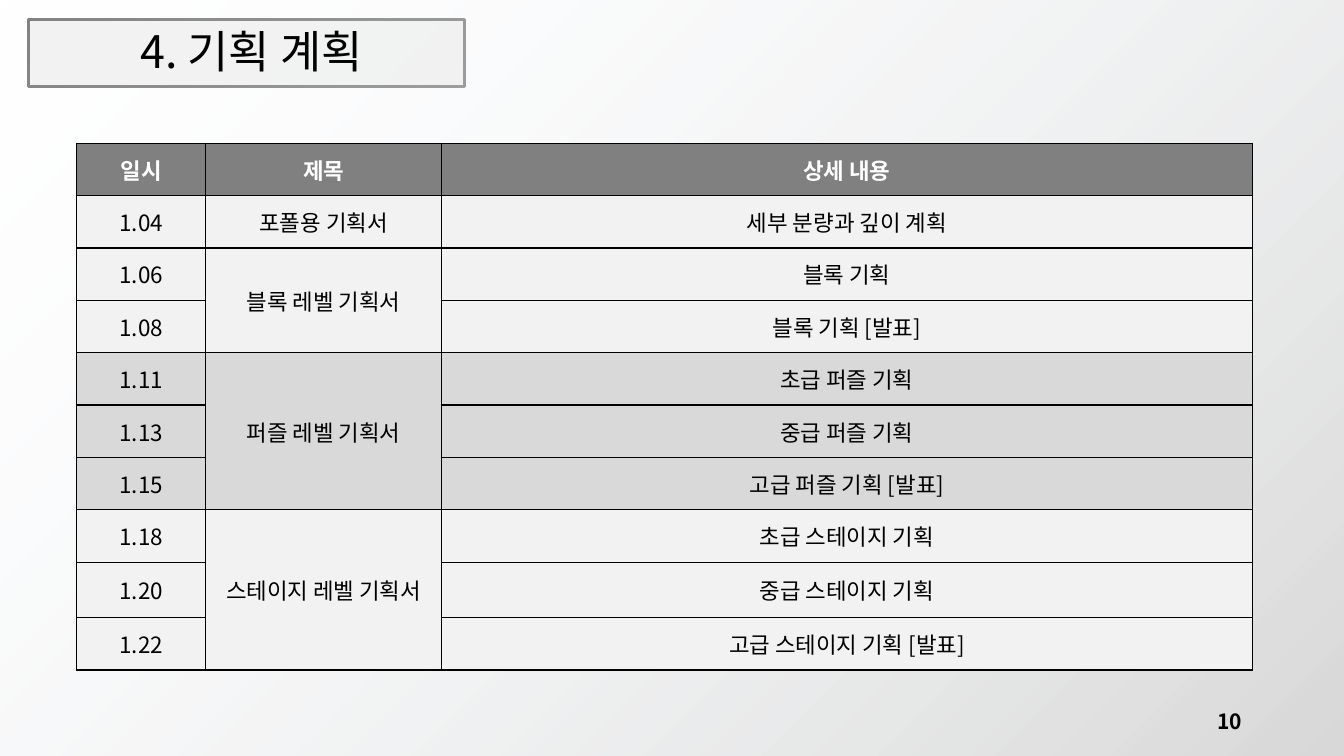
from pptx import Presentation
from pptx.dml.color import RGBColor
from pptx.enum import shapes, text
from pptx.oxml import ns, parse_xml
from pptx.util import Inches, Pt

FONT = "Noto Sans CJK KR"
BLACK, WHITE, GRAY, SILVER, PALE = "000000", "FFFFFF", "808080", "D9D9D9", "F2F2F2"
MIDDLE = text.MSO_ANCHOR.MIDDLE
CENTER, RIGHT = text.PP_ALIGN.CENTER, text.PP_ALIGN.RIGHT
rgb = RGBColor.from_string


def write(frame, words, size, color=BLACK, bold=False, align=CENTER):
    """Fill a text frame with one paragraph, using FONT for Latin and Korean."""
    frame.text = words
    paragraph = frame.paragraphs[0]
    paragraph.alignment = align
    font = paragraph.font
    font.name, font.size, font.bold = FONT, Pt(size), bold
    font.color.rgb = rgb(color)
    defaults = paragraph._p.pPr.find(ns.qn("a:defRPr"))
    defaults.append(parse_xml(f'<a:ea {ns.nsdecls("a")} typeface="{FONT}"/>'))


def set_borders(cell):
    for position, side in enumerate(("lnL", "lnR", "lnT", "lnB")):
        cell._tc.get_or_add_tcPr().insert(position, parse_xml(
            f'<a:{side} {ns.nsdecls("a")} w="12700"><a:solidFill>'
            f'<a:srgbClr val="{BLACK}"/></a:solidFill></a:{side}>'))


prs = Presentation()
prs.slide_width, prs.slide_height = Inches(13.33), Inches(7.5)
slide = prs.slides.add_slide(prs.slide_layouts[5])

# Backdrop: the title frame under a veil that darkens to the lower right
title_frame = slide.shapes.add_shape(
    shapes.MSO_SHAPE.RECTANGLE, Inches(0.28), Inches(0.19), Inches(4.33), Inches(0.67))
title_frame.shadow.inherit = False
title_frame.fill.solid()
title_frame.fill.fore_color.rgb = rgb(PALE)
title_frame.line.color.rgb = rgb(GRAY)
title_frame.line.width = Pt(2.25)

veil = slide.shapes.add_shape(
    shapes.MSO_SHAPE.RECTANGLE, 0, 0, prs.slide_width, prs.slide_height)
veil.shadow.inherit = False
veil.line.fill.background()
veil.fill.gradient()
veil.fill.gradient_angle = 315
for stop, color, position in zip(veil.fill.gradient_stops, ("F7FAFD", SILVER), (0, 1)):
    stop.color.rgb = rgb(color)
    stop.position = position
clear_color = veil._element.spPr.find(".//" + ns.qn("a:srgbClr"))
clear_color.append(parse_xml(f'<a:alpha {ns.nsdecls("a")} val="0"/>'))

# Title, brought in front of the veil
title = slide.shapes.title
title.left, title.top, title.width, title.height = map(Inches, (0.42, 0.18, 4.15, 0.65))
title.text_frame.vertical_anchor = text.MSO_ANCHOR.BOTTOM
write(title.text_frame, "4. 기획 계획", 32)
title.text_frame.paragraphs[0].line_spacing = 0.9
slide.shapes._spTree.append(title._element)

page_number = slide.shapes.add_textbox(
    Inches(9.42), Inches(6.95), Inches(3), Inches(0.4)).text_frame
page_number.word_wrap = True
page_number.vertical_anchor = MIDDLE
write(page_number, "10", 15, bold=True, align=RIGHT)

# Schedule: each plan spans the rows of its dated steps
plans = [
    ("제목", GRAY, [("일시", "상세 내용")]),
    ("포폴용 기획서", PALE, [("1.04", "세부 분량과 깊이 계획")]),
    ("블록 레벨 기획서", PALE, [("1.06", "블록 기획"), ("1.08", "블록 기획 [발표]")]),
    ("퍼즐 레벨 기획서", SILVER, [
        ("1.11", "초급 퍼즐 기획"),
        ("1.13", "중급 퍼즐 기획"),
        ("1.15", "고급 퍼즐 기획 [발표]")]),
    ("스테이지 레벨 기획서", PALE, [
        ("1.18", "초급 스테이지 기획"),
        ("1.20", "중급 스테이지 기획"),
        ("1.22", "고급 스테이지 기획 [발표]")]),
]
row_count = sum(len(steps) for _, _, steps in plans)
schedule = slide.shapes.add_table(
    row_count, 3, Inches(0.76), Inches(1.42), Inches(11.66), Inches(5.22)).table
schedule.horz_banding = False
for column, width in zip(schedule.columns, (1.28, 2.34, 8.04)):
    column.width = Inches(width)
for row in schedule.rows:
    row.height = Inches(0.52)
schedule.rows[8].height = Inches(0.55)

first = 0
for plan, fill, steps in plans:
    is_header = first == 0
    for offset, (date, detail) in enumerate(steps):
        entries = (date, plan if offset == 0 else "", detail)
        for column, words in enumerate(entries):
            cell = schedule.cell(first + offset, column)
            cell.fill.solid()
            cell.fill.fore_color.rgb = rgb(fill)
            cell.vertical_anchor = MIDDLE
            set_borders(cell)
            if words:
                write(cell.text_frame, words, 16, WHITE if is_header else BLACK, is_header)
    if len(steps) > 1:
        schedule.cell(first, 1).merge(schedule.cell(first + len(steps) - 1, 1))
    first += len(steps)

prs.save("out.pptx")
